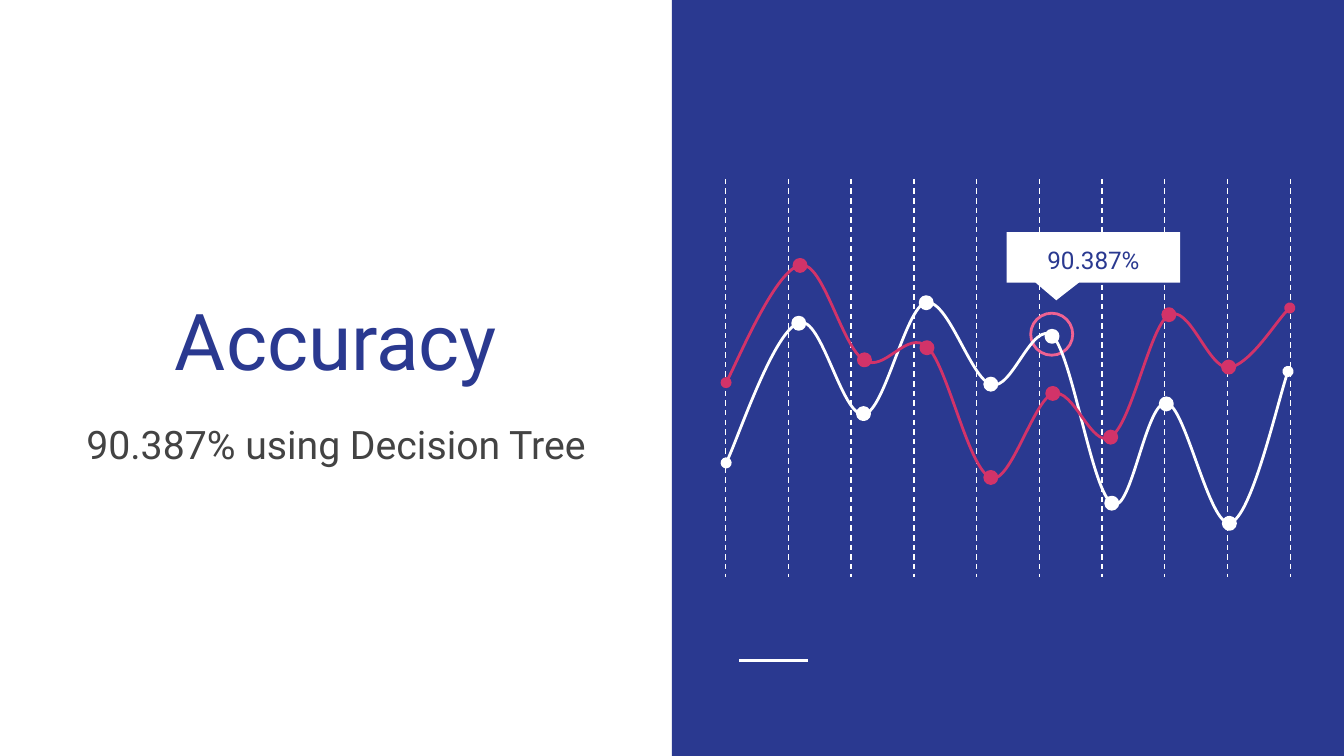
from lxml import etree
from pptx import Presentation, util as u
from pptx.dml.color import RGBColor
from pptx.enum import dml, shapes, text
from pptx.oxml.ns import qn

# Content: each segment is (control, control, end point), in points
TITLE = "Accuracy"
SUBTITLE = "90.387% using Decision Tree"
CALLOUT = "90.387%"
WHITE_START = (388.8, 248.4)
WHITE_SEGMENTS = [
    ((395.3, 236.2), (415.4, 177.1), (427.9, 173.2)),
    ((439.9, 168.5), (450.7, 223.9), (462.6, 221.6)),
    ((473.8, 220.3), (485.3, 164.9), (496.2, 162.2)),
    ((507.6, 159.8), (519.8, 203), (530.8, 205.8)),
    ((542.2, 209.5), (553, 170.6), (563.6, 180.2)),
    ((574.6, 191.5), (584.6, 264.2), (595.6, 269.6)),
    ((605.5, 275.8), (614.2, 213.8), (624.8, 216.4)),
    ((635, 217.4), (648, 283), (658.6, 280.4)),
    ((669.6, 277.9), (684.7, 213.1), (690.5, 199.4)),
]
RED_START = (388.8, 205.2)
RED_SEGMENTS = [
    ((395.3, 194.4), (416.2, 144), (428.6, 142.2)),
    ((440.6, 139.7), (451.4, 185.8), (463.1, 192.8)),
    ((474.5, 200.2), (486, 176.4), (496.6, 186.3)),
    ((508.3, 197.3), (519.1, 252), (530.8, 255.8)),
    ((541.4, 259.9), (553.7, 213.8), (564, 210.8)),
    ((575.3, 206.6), (585.4, 241.2), (595, 234.2)),
    ((606.2, 227.5), (616.3, 175), (626.2, 168.6)),
    ((637.2, 162), (647.3, 197.3), (658.2, 196.7)),
    ((668.9, 195.8), (685.4, 169.9), (691.2, 164.9)),
]

THEME = {
    "font": "Roboto", "blue": "2A3990", "white": "FFFFFF", "red": "D23369",
    "pink": "F06292", "gray": "434343",
    "title": 42, "subtitle": 21, "label": 13, "line": 1.5, "grid": 0.75,
}
WIDTH, HEIGHT = 720, 405
GRID_LEFT, GRID_STEP, GRID_COUNT = 388.8, 33.6, 10
GRID_TOP, GRID_BOTTOM = 95.8, 308.9
DOT = 6.5


def color(name):
    return RGBColor.from_string(THEME[name])


def add_shape(parent, kind, left, top, width, height, fill=None, line=None):
    shape = parent.add_shape(kind, *map(u.Pt, (left, top, width, height)))
    shape.shadow.inherit = False
    if fill:
        shape.fill.solid()
        shape.fill.fore_color.rgb = color(fill)
    else:
        shape.fill.background()
    if line:
        shape.line.color.rgb = color(line)
        shape.line.width = u.Pt(THEME["line"])
    else:
        shape.line.fill.background()
    return shape


def add_line(parent, x1, y1, x2, y2, width, dash=None):
    line = parent.add_connector(shapes.MSO_CONNECTOR.STRAIGHT,
                                *map(u.Pt, (x1, y1, x2, y2)))
    line.line.color.rgb = color("white")
    line.line.width = u.Pt(width)
    line.line.dash_style = dash
    etree.SubElement(line.element.spPr, qn("a:effectLst"))


def add_text(parent, content, *, box, size, fill, anchor, spacing=None):
    frame = parent.add_textbox(*map(u.Pt, box)).text_frame
    frame.word_wrap = True
    frame.vertical_anchor = anchor
    frame.margin_left = frame.margin_right = u.Pt(7.2)
    frame.margin_top = frame.margin_bottom = u.Pt(7.2)
    paragraph = frame.paragraphs[0]
    paragraph.alignment = text.PP_ALIGN.CENTER
    paragraph.line_spacing = spacing
    run = paragraph.add_run()
    run.text = content
    run.font.name = THEME["font"]
    run.font.size = u.Pt(THEME[size])
    run.font.color.rgb = color(fill)


def add_series(parent, start, segments, name):
    group = parent.add_group_shape().shapes
    builder = group.build_freeform(*start, scale=u.Pt(1))
    builder.add_line_segments([point for segment in segments for point in segment],
                              close=False)
    curve = builder.convert_to_shape()
    curve.shadow.inherit = False
    curve.fill.background()
    curve.line.color.rgb = color(name)
    curve.line.width = u.Pt(THEME["line"])

    # Turn every three straight steps into one cubic curve
    steps = curve.element.xpath(".//a:lnTo")
    for index in range(0, len(steps), 3):
        cubic = etree.Element(qn("a:cubicBezTo"))
        steps[index].addprevious(cubic)
        for step in steps[index:index + 3]:
            cubic.append(step[0])
            step.getparent().remove(step)
    outline = curve.element.spPr.find(qn("a:ln"))
    for end in ("a:headEnd", "a:tailEnd"):
        etree.SubElement(outline, qn(end), type="oval")

    # Dots where the inner segments meet
    for *_, (x, y) in segments[:-1]:
        add_shape(group, shapes.MSO_SHAPE.OVAL, x - DOT / 2, y - DOT / 2,
                  DOT, DOT, fill=name, line=name)


def main():
    presentation = Presentation()
    presentation.slide_width, presentation.slide_height = u.Pt(WIDTH), u.Pt(HEIGHT)
    slide = presentation.slides.add_slide(presentation.slide_layouts[6])
    canvas = slide.shapes

    # Right panel with its short rule
    add_shape(canvas, shapes.MSO_SHAPE.RECTANGLE, WIDTH / 2, 0, WIDTH / 2, HEIGHT,
              fill="blue")
    add_line(canvas, 396, 354, 432.7, 354, THEME["line"])

    # Dashed grid
    grid = canvas.add_group_shape().shapes
    for column in range(GRID_COUNT):
        x = GRID_LEFT + column * GRID_STEP
        add_line(grid, x, GRID_TOP, x, GRID_BOTTOM, THEME["grid"],
                 dml.MSO_LINE.DASH)

    # Headings
    add_text(canvas, TITLE, box=(20.9, 90.7, 318.2, 123.1), size="title",
             fill="blue", anchor=text.MSO_ANCHOR.BOTTOM)
    add_text(canvas, SUBTITLE, box=(20.9, 218.2, 318.2, 100.1), size="subtitle",
             fill="gray", anchor=text.MSO_ANCHOR.TOP)

    # Highlight ring, curves and callout
    add_shape(canvas, shapes.MSO_SHAPE.OVAL, 552.2, 167.8, 22.5, 22.5, line="pink")
    add_series(canvas, WHITE_START, WHITE_SEGMENTS, "white")
    callout = add_shape(canvas, shapes.MSO_SHAPE.ROUNDED_RECTANGULAR_CALLOUT,
                        539.3, 124.4, 92.9, 27, fill="white")
    for index, value in enumerate((-0.214, 0.85, 0)):
        callout.adjustments[index] = value
    add_series(canvas, RED_START, RED_SEGMENTS, "red")
    add_text(canvas, CALLOUT, box=(539.3, 126.7, 92.9, 22.3), size="label",
             fill="blue", anchor=text.MSO_ANCHOR.MIDDLE, spacing=1.15)

    presentation.save("out.pptx")


if __name__ == "__main__":
    main()
